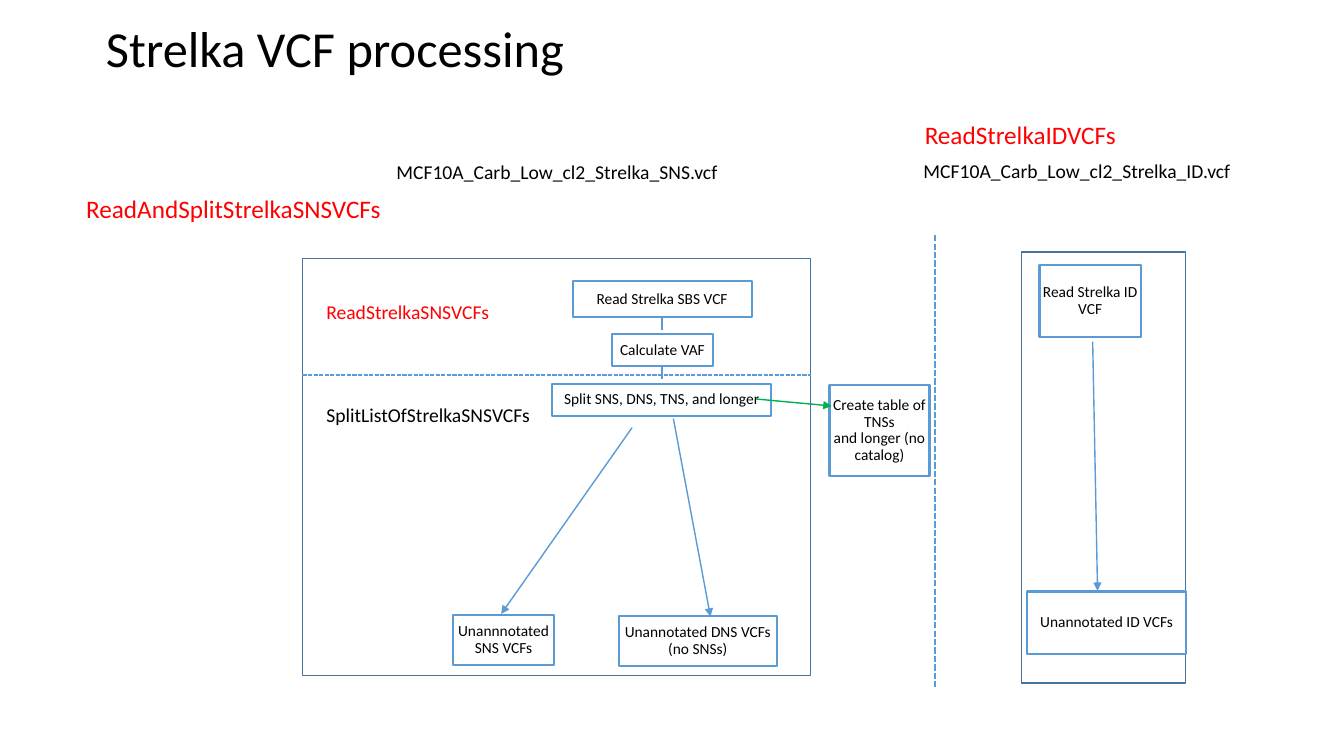
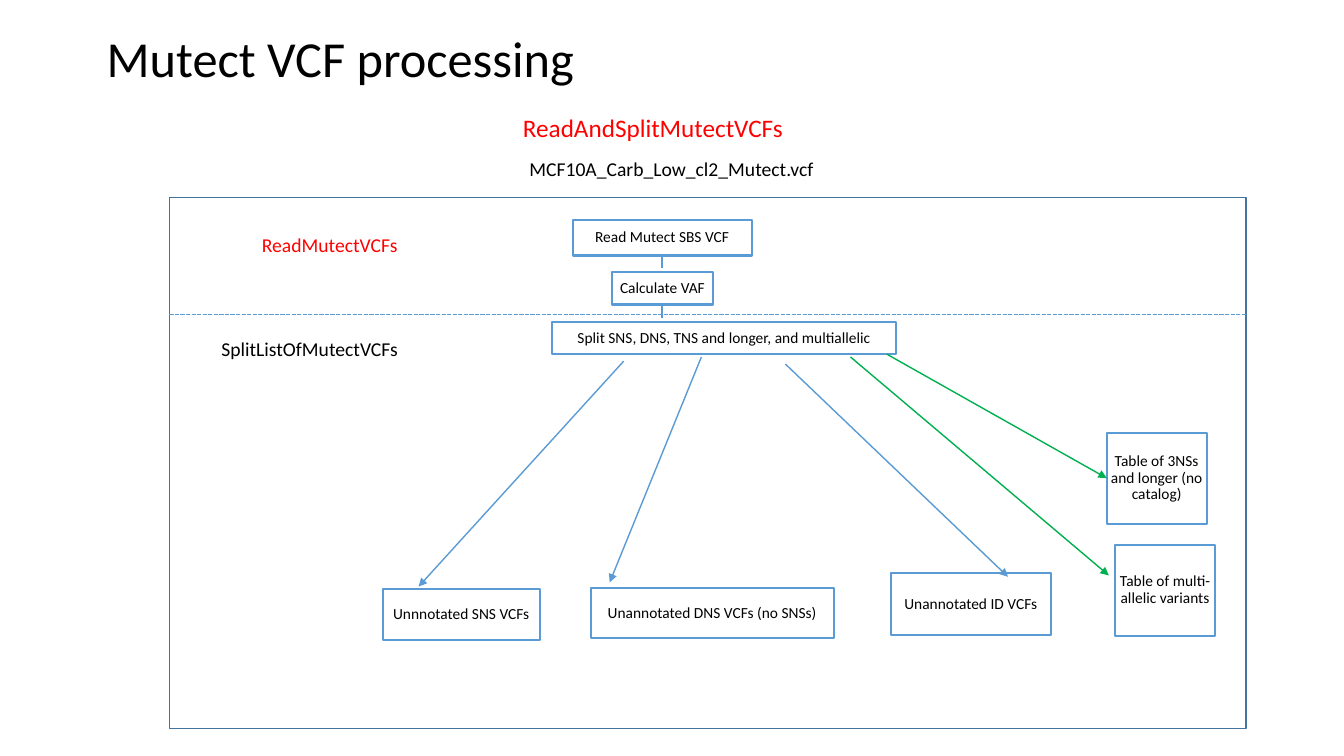
import pptx
import pptx.util
import pptx.dml.color
import pptx.enum.dml
import pptx.enum.shapes
import pptx.enum.text
import pptx.oxml
from dataclasses import dataclass
from pptx.oxml import ns

Pt = pptx.util.Pt
RGB = pptx.dml.color.RGBColor.from_string
ALIGN = pptx.enum.text.PP_ALIGN
ANCHOR = pptx.enum.text.MSO_ANCHOR


@dataclass(frozen=True)
class Theme:
    """Colours, font and type sizes of the deck."""
    font: str = "Calibri"
    ink: str = "000000"
    accent: str = "FF0000"
    blue: str = "5B9BD5"
    frame: str = "43739E"
    green: str = "00B050"
    white: str = "FFFFFF"
    title: float = 36
    heading: float = 18
    label: float = 14
    step: float = 11


@dataclass(frozen=True)
class Box:
    """A rectangle in points."""
    x: float
    y: float
    w: float
    h: float

    def inner(self, dx, dy, w, h):
        """Return a box offset from this one's top left corner."""
        return Box(self.x + dx, self.y + dy, w, h)

    def lengths(self):
        """Return left, top, width and height as lengths."""
        return [Pt(v) for v in (self.x, self.y, self.w, self.h)]


T = Theme()


def style_text(tf, size, color, align=ALIGN.LEFT, spacing=None):
    """Format every paragraph and run of a text frame."""
    for p in tf.paragraphs:
        p.alignment = align
        if spacing:
            p.line_spacing = spacing
        for r in p.runs:
            r.font.name, r.font.size = T.font, Pt(size)
            r.font.color.rgb = RGB(color)


def add_title(s, text, box):
    """Place and format the title placeholder."""
    sp = s.shapes.title
    sp.left, sp.top, sp.width, sp.height = box.lengths()
    tf = sp.text_frame
    tf.text = text
    tf.auto_size = pptx.enum.text.MSO_AUTO_SIZE.NONE
    tf.vertical_anchor = ANCHOR.MIDDLE
    style_text(tf, T.title, T.ink, spacing=0.9)


def add_label(s, text, box, size=T.label, color=T.ink):
    """Add one line of free text."""
    tf = s.shapes.add_textbox(*box.lengths()).text_frame
    tf.text = text
    tf.word_wrap = False
    style_text(tf, size, color)


def add_rect(s, box, color, width, fill=None):
    """Add an outlined rectangle."""
    sp = s.shapes.add_shape(pptx.enum.shapes.MSO_SHAPE.RECTANGLE, *box.lengths())
    sp.shadow.inherit = False
    sp.line.color.rgb, sp.line.width = RGB(color), Pt(width)
    if fill:
        sp.fill.solid()
        sp.fill.fore_color.rgb = RGB(fill)
    else:
        sp.fill.background()
    return sp


def add_step(s, text, box, fill=None):
    """Add a box holding one step or result."""
    tf = add_rect(s, box, T.blue, 1.5, fill).text_frame
    tf.text = text
    tf.word_wrap = True
    tf.vertical_anchor = ANCHOR.MIDDLE
    tf.margin_left = tf.margin_right = tf.margin_top = tf.margin_bottom = Pt(0.7)
    style_text(tf, T.step, T.ink, ALIGN.CENTER, 0.9)


def add_line(s, box, start, end, color=T.blue, width=1, dash=False, arrow=False):
    """Draw a line between two points given relative to a box."""
    points = [Pt(v) for x, y in (start, end) for v in (box.x + x, box.y + y)]
    c = s.shapes.add_connector(pptx.enum.shapes.MSO_CONNECTOR.STRAIGHT, *points)
    c.line.color.rgb, c.line.width = RGB(color), Pt(width)
    if dash:
        c.line.dash_style = pptx.enum.dml.MSO_LINE.SQUARE_DOT
    if arrow:
        tail = pptx.oxml.parse_xml(f'<a:tailEnd {ns.nsdecls("a")} type="triangle"/>')
        c.line._get_or_add_ln().append(tail)
    spPr = c._element.spPr
    spPr.append(pptx.oxml.parse_xml(f'<a:effectLst {ns.nsdecls("a")}/>'))


def add_results(s, box, results, arrows):
    """Add result boxes and the arrows that lead to them."""
    for text, place in results:
        add_step(s, text, box.inner(*place))
    for start, end, color in arrows:
        add_line(s, box, start, end, color, arrow=True)


def add_pipeline(s, box, caller, split_text):
    """Stack the read, VAF and split steps from the top of a box."""
    mid = 64
    add_step(s, f"Read {caller} SBS VCF", box.inner(0, 0, 2 * mid, 25.5))
    add_step(s, "Calculate VAF", box.inner(mid - 36, 37.5, 72.5, 23), T.white)
    add_step(s, split_text, box.inner(-14.5, 73, box.w, 23), T.white)
    for top, bottom in ((26.5, 34.5), (61.5, 70)):
        add_line(s, box, (mid, top), (mid, bottom))


def add_split_panel(s, box, caller, functions, pipeline, split_text, results, arrows):
    """Frame a pipeline with its two function names and a dashed divider."""
    add_rect(s, box, T.frame, 1)
    add_line(s, box, (0, 83.5), (box.w, 83.5), dash=True)
    for (text, dx, dy), color in zip(functions, (T.accent, T.ink)):
        add_label(s, text, box.inner(dx, dy, 160, 24.5), color=color)
    add_pipeline(s, box.inner(*pipeline), caller, split_text)
    add_results(s, box, results, arrows)


def add_id_panel(s, box):
    """Frame the reading of ID files."""
    add_rect(s, box, T.frame, 1)
    add_results(s, box,
                [("Read Strelka ID\nVCF", (13, 9.5, 72.5, 51)),
                 ("Unannotated ID VCFs", (4, 242.5, 114, 44.5))],
                [((51, 64), (54.5, 242), T.blue)])


def strelka_slide(s):
    """Build the slide with separate SNS and ID files."""
    add_title(s, "Strelka VCF processing", Box(68.5, 8.5, 828, 55.5))
    add_label(s, "ReadAndSplitStrelkaSNSVCFs", Box(54.5, 134.5, 227, 29), T.heading, T.accent)
    add_label(s, "ReadStrelkaIDVCFs", Box(653.5, 82, 153, 29), T.heading, T.accent)
    add_label(s, "MCF10A_Carb_Low_cl2_Strelka_SNS.vcf", Box(276, 111, 246, 24.5))
    add_label(s, "MCF10A_Carb_Low_cl2_Strelka_ID.vcf", Box(652.5, 110, 236, 24.5))
    add_split_panel(
        s, Box(216, 184.5, 363, 298), "Strelka",
        [("ReadStrelkaSNSVCFs", 10, 26.5), ("SplitListOfStrelkaSNSVCFs", 10, 100)],
        (193, 16.5, 156.5, 96), "Split SNS, DNS, TNS, and longer",
        [("Unannnotated SNS VCFs", (107.5, 254.5, 72.5, 36)),
         ("Unannotated DNS VCFs\n(no SNSs)", (226, 255.5, 113, 36)),
         ("Create table of TNSs\nand longer (no catalog)", (376.5, 90.5, 71.5, 65))],
        [((235.5, 121), (142, 254), T.blue),
         ((265, 114.5), (291.5, 256), T.blue),
         ((324, 100.5), (378, 105.5), T.green)])
    add_line(s, Box(668, 168, 0, 322.5), (0, 0), (0, 322.5), width=1.5, dash=True)
    add_id_panel(s, Box(729.5, 180, 117.5, 308))


def mutect_slide(s):
    """Build the slide with one file for all variant types."""
    add_title(s, "Mutect VCF processing", Box(69, 11.5, 828, 64))
    add_label(s, "ReadAndSplitMutectVCFs", Box(366.5, 76.5, 208, 29), T.heading, T.accent)
    add_label(s, "MCF10A_Carb_Low_cl2_Mutect.vcf", Box(371, 108.5, 220, 24.5))
    add_split_panel(
        s, Box(121, 141, 769, 379.5), "Mutect",
        [("ReadMutectVCFs", 59, 21.5), ("SplitListOfMutectVCFs", 30, 96)],
        (288, 16, 245.5, 96), "Split SNS, DNS, TNS and longer, and multiallelic",
        [("Unnnotated SNS VCFs", (152.5, 280, 112, 36)),
         ("Unannotated DNS VCFs (no SNSs)", (301, 279, 173.5, 36)),
         ("Unannotated ID VCFs", (515.5, 268.5, 114, 44)),
         ("Table of 3NSs\nand longer (no catalog)", (669.5, 168, 71.5, 65)),
         ("Table of multi-allelic variants", (675.5, 248, 71.5, 65))],
        [((324.5, 117), (178, 278), T.blue),
         ((380, 114), (314.5, 275), T.blue),
         ((440, 119), (599, 271), T.blue),
         ((486.5, 114), (671, 270), T.green),
         ((512.5, 112), (669.5, 200.5), T.green)])


prs = pptx.Presentation()
prs.slide_width, prs.slide_height = Pt(960), Pt(540)
title_only = prs.slide_layouts[5]
for build in (strelka_slide, mutect_slide):
    build(prs.slides.add_slide(title_only))
prs.save("out.pptx")
